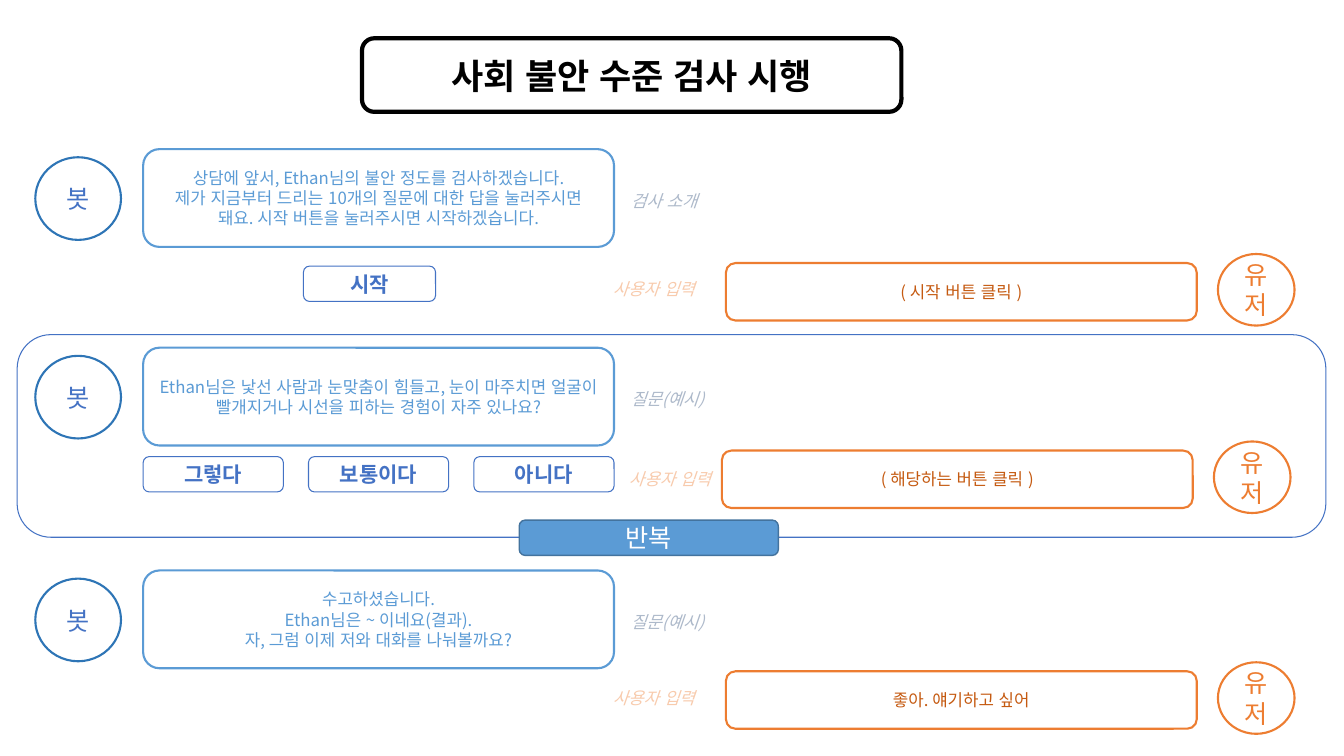
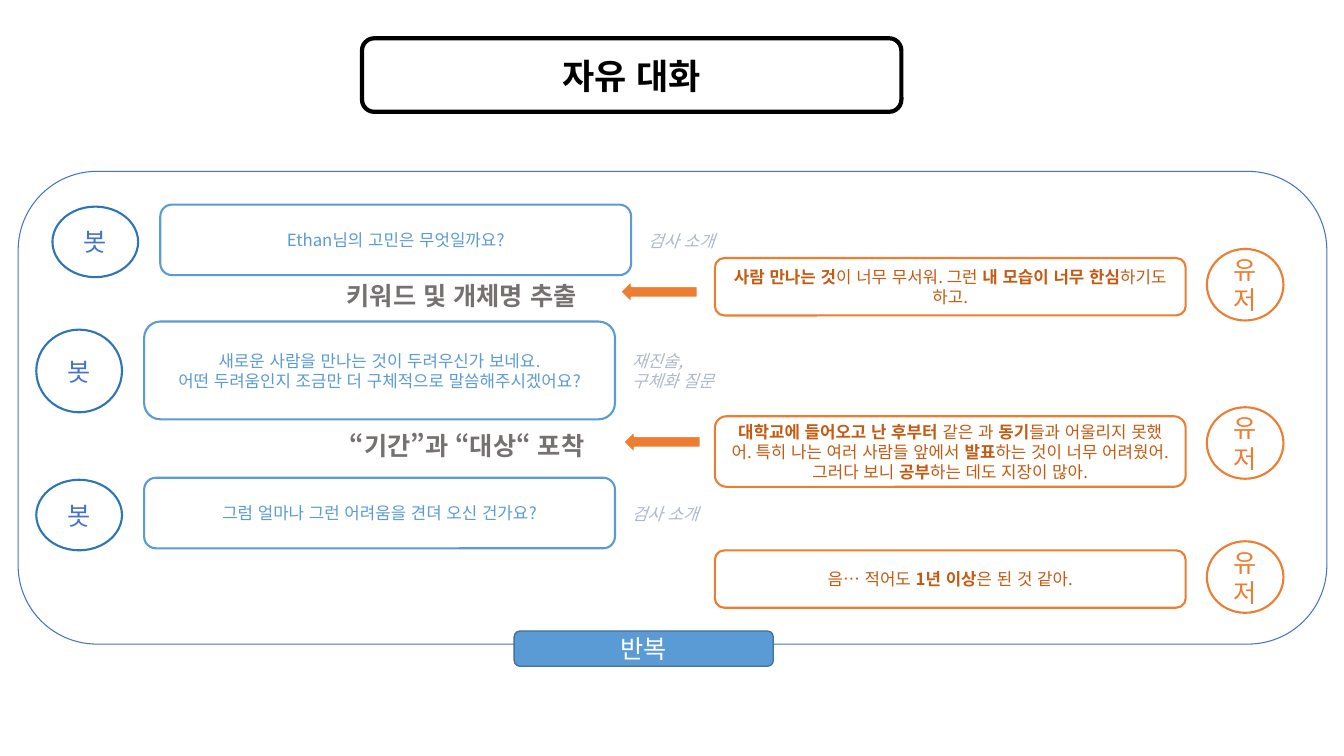
from dataclasses import dataclass

from lxml import etree
from pptx import Presentation
from pptx.dml.color import RGBColor
from pptx.enum.lang import MSO_LANGUAGE_ID
from pptx.enum.shapes import MSO_SHAPE
from pptx.enum.text import MSO_ANCHOR, MSO_AUTO_SIZE, PP_ALIGN
from pptx.oxml.ns import qn
from pptx.slide import Slide
from pptx.text.text import TextFrame
from pptx.util import Emu, Pt

ROUND = MSO_SHAPE.ROUNDED_RECTANGLE
OVAL = MSO_SHAPE.OVAL
ARROW = MSO_SHAPE.LEFT_ARROW
MIDDLE, TOP = MSO_ANCHOR.MIDDLE, MSO_ANCHOR.TOP
LEFT, CENTER, RIGHT = PP_ALIGN.LEFT, PP_ALIGN.CENTER, PP_ALIGN.RIGHT
FIXED = MSO_AUTO_SIZE.NONE
KOREAN = MSO_LANGUAGE_ID.KOREAN
SCALE = 9144
FONT = "Noto Sans CJK KR"
COLORS = {
    "black": "000000",
    "white": "FFFFFF",
    "sky": "5B9BD5",
    "deep": "2E75B6",
    "blue": "4472C4",
    "edge": "43739E",
    "mist": "ADB9CA",
    "orange": "ED7D31",
    "rust": "C55A11",
    "peach": "F8CBAD",
    "gray": "767171",
}


@dataclass(frozen=True)
class Type:
    color: str
    size: int
    bold: bool = False
    slant: bool = False
    align: PP_ALIGN = CENTER


@dataclass(frozen=True)
class Look:
    form: MSO_SHAPE
    line: str
    width: float
    fill: str = ""
    type: Type | None = None


@dataclass(frozen=True)
class Build:
    box: int
    ball: int
    drop: int


@dataclass(frozen=True)
class Bot:
    x: int
    y: int
    build: Build
    text: str
    hint: str
    drop: int


@dataclass(frozen=True)
class User:
    x: int
    y: int
    text: str
    high: int = 57
    tag: tuple[int, int] | None = None


@dataclass(frozen=True)
class Loop:
    x: int
    y: int
    high: int
    bar: tuple[int, int]


@dataclass(frozen=True)
class Key:
    x: int
    y: int
    wide: int
    text: str


@dataclass(frozen=True)
class Step:
    x: int
    y: int
    text: str


TITLE = Type("black", 25, bold=True)
HINT = Type("mist", 12, slant=True, align=LEFT)
TAG = Type("peach", 12, slant=True, align=RIGHT)
STEP = Type("gray", 18, bold=True, align=LEFT)

BANNER = Look(ROUND, "black", 3)
FRAME = Look(ROUND, "blue", 0.75)
BAR = Look(ROUND, "edge", 1, "sky", Type("white", 18))
BOT = Look(ROUND, "sky", 1.5, type=Type("sky", 12))
BOT_BALL = Look(OVAL, "deep", 1.5, type=Type("blue", 18))
USER = Look(ROUND, "orange", 1.5, "white", Type("rust", 12))
USER_BALL = Look(OVAL, "orange", 1.5, type=Type("orange", 18))
KEY = Look(ROUND, "blue", 0.75, type=Type("blue", 15, bold=True))
POINTER = Look(ARROW, "white", 1.5, "orange")

TALL = Build(97, 82, 8)
FLAT = Build(70, 70, 2)


def tint(name: str) -> RGBColor:
    return RGBColor.from_string(COLORS[name])


def px(*sizes: int) -> list[Emu]:
    return [Emu(size * SCALE) for size in sizes]


def write(frame: TextFrame, text: str, style: Type, anchor: MSO_ANCHOR) -> None:
    frame.word_wrap = True
    frame.auto_size = FIXED
    frame.vertical_anchor = anchor
    for i, line in enumerate(text.split("\n")):
        para = frame.add_paragraph() if i else frame.paragraphs[0]
        para.alignment = style.align
        font = para.font
        font.name, font.size = FONT, Pt(style.size)
        font.bold, font.italic = style.bold, style.slant
        font.color.rgb = tint(style.color)
        base = para._p.pPr.find(qn("a:defRPr"))
        etree.SubElement(base, qn("a:ea")).set("typeface", FONT)
        for j, part in enumerate(line.split("*")):
            if part:
                run = para.add_run()
                run.text = part
                run.font.language_id = KOREAN
                if j % 2:
                    run.font.bold = True


def draw(slide: Slide, look: Look, box: tuple[int, int, int, int], text: str = "") -> None:
    shape = slide.shapes.add_shape(look.form, *px(*box))
    shape.shadow.inherit = False
    if look.fill:
        shape.fill.solid()
        shape.fill.fore_color.rgb = tint(look.fill)
    else:
        shape.fill.background()
    shape.line.color.rgb = tint(look.line)
    shape.line.width = Pt(look.width)
    if look.type and text:
        write(shape.text_frame, text, look.type, MIDDLE)


def label(slide: Slide, style: Type, box: tuple[int, int, int, int], text: str) -> None:
    write(slide.shapes.add_textbox(*px(*box)).text_frame, text, style, TOP)


def head(slide: Slide, text: str) -> None:
    box = (359, 38, 535, 73)
    draw(slide, BANNER, box)
    title = slide.shapes.title
    title.left, title.top, title.width, title.height = px(*box)
    write(title.text_frame, text, TITLE, MIDDLE)


def add_bot(slide: Slide, bot: Bot) -> None:
    build = bot.build
    draw(slide, BOT, (bot.x, bot.y, 467, build.box), bot.text)
    draw(slide, BOT_BALL, (bot.x - 107, bot.y + build.drop, 85, build.ball), "봇")
    label(slide, HINT, (bot.x + 474, bot.y + bot.drop, 156, 30), bot.hint)


def add_user(slide: Slide, user: User) -> None:
    draw(slide, USER, (user.x, user.y, 467, user.high), user.text)
    draw(slide, USER_BALL, (user.x + 488, user.y - 9, 76, 71), "유저")
    if user.tag:
        left, down = user.tag
        label(slide, TAG, (user.x - left, user.y + down, 156, 30), "사용자 입력")


def add_loop(slide: Slide, loop: Loop) -> None:
    draw(slide, FRAME, (loop.x, loop.y, 1298, loop.high))
    draw(slide, BAR, (*loop.bar, 257, 35), "반복")


def add_key(slide: Slide, key: Key) -> None:
    draw(slide, KEY, (key.x, key.y, key.wide, 35), key.text)


def add_step(slide: Slide, step: Step) -> None:
    label(slide, STEP, (step.x, step.y, 315, 40), step.text)
    draw(slide, POINTER, (step.x + 281, step.y + 5, 77, 23))


MAKERS = {Bot: add_bot, User: add_user, Loop: add_loop, Key: add_key, Step: add_step}

TEST = [
    Loop(17, 332, 201, (515, 516)),
    Bot(142, 148, TALL,
        "상담에 앞서, Ethan님의 불안 정도를 검사하겠습니다.\n"
        "제가 지금부터 드리는 10개의 질문에 대한 답을 눌러주시면 돼요. "
        "시작 버튼을 눌러주시면 시작하겠습니다.", "검사 소개", 36),
    User(720, 261, "( 시작 버튼 클릭 )", tag=(177, 11)),
    Key(301, 264, 131, "시작"),
    Bot(142, 345, TALL,
        "Ethan님은 낯선 사람과 눈맞춤이 힘들고, 눈이 마주치면 "
        "얼굴이 빨개지거나 시선을 피하는 경험이 자주 있나요?", "질문(예시)", 36),
    *(Key(142 + 164 * i, 453, 139, word)
      for i, word in enumerate(("그렇다", "보통이다", "아니다"))),
    User(716, 447, "( 해당하는 버튼 클릭 )", tag=(157, 13)),
    Bot(142, 566, TALL,
        "수고하셨습니다.\nEthan님은 ~ 이네요(결과).\n"
        "자, 그럼 이제 저와 대화를 나눠볼까요?", "질문(예시)", 36),
    User(720, 666, "좋아. 얘기하고 싶어", tag=(177, 11)),
]

CHAT = [
    Loop(18, 170, 469, (510, 626)),
    Bot(159, 203, FLAT, "Ethan님의 고민은 무엇일까요?", "검사 소개", 21),
    User(709, 256, "*사람 만나는 것*이 너무 무서워. 그런 *내 모습이 너무 한심*하기도 하고."),
    Step(334, 273, "키워드 및 개체명 추출"),
    Bot(143, 319, TALL,
        "새로운 사람을 만나는 것이 두려우신가 보네요.\n"
        "어떤 두려움인지 조금만 더 구체적으로 말씀해주시겠어요?",
        "재진술,\n구체화 질문", 24),
    User(709, 413,
         "*대학교에 들어오고 난 후부터 *같은 과 *동기*들과 어울리지 못했어. "
         "특히 나는 여러 사람들 앞에서 *발표*하는 것이 너무 어려웠어. "
         "그러다 보니 *공부*하는 데도 지장이 많아.", 70),
    Step(337, 422, "“기간”과 “대상“ 포착"),
    Bot(143, 474, FLAT, "그럼 얼마나 그런 어려움을 견뎌 오신 건가요?", "검사 소개", 21),
    User(709, 546, "음… 적어도 *1년 이상*은 된 것 같아."),
]


def main() -> None:
    deck = Presentation()
    deck.slide_width, deck.slide_height = px(1333, 750)
    for title, items in (("사회 불안 수준 검사 시행", TEST), ("자유 대화", CHAT)):
        slide = deck.slides.add_slide(deck.slide_layouts[5])
        head(slide, title)
        for item in items:
            MAKERS[type(item)](slide, item)
    deck.save("out.pptx")


if __name__ == "__main__":
    main()
